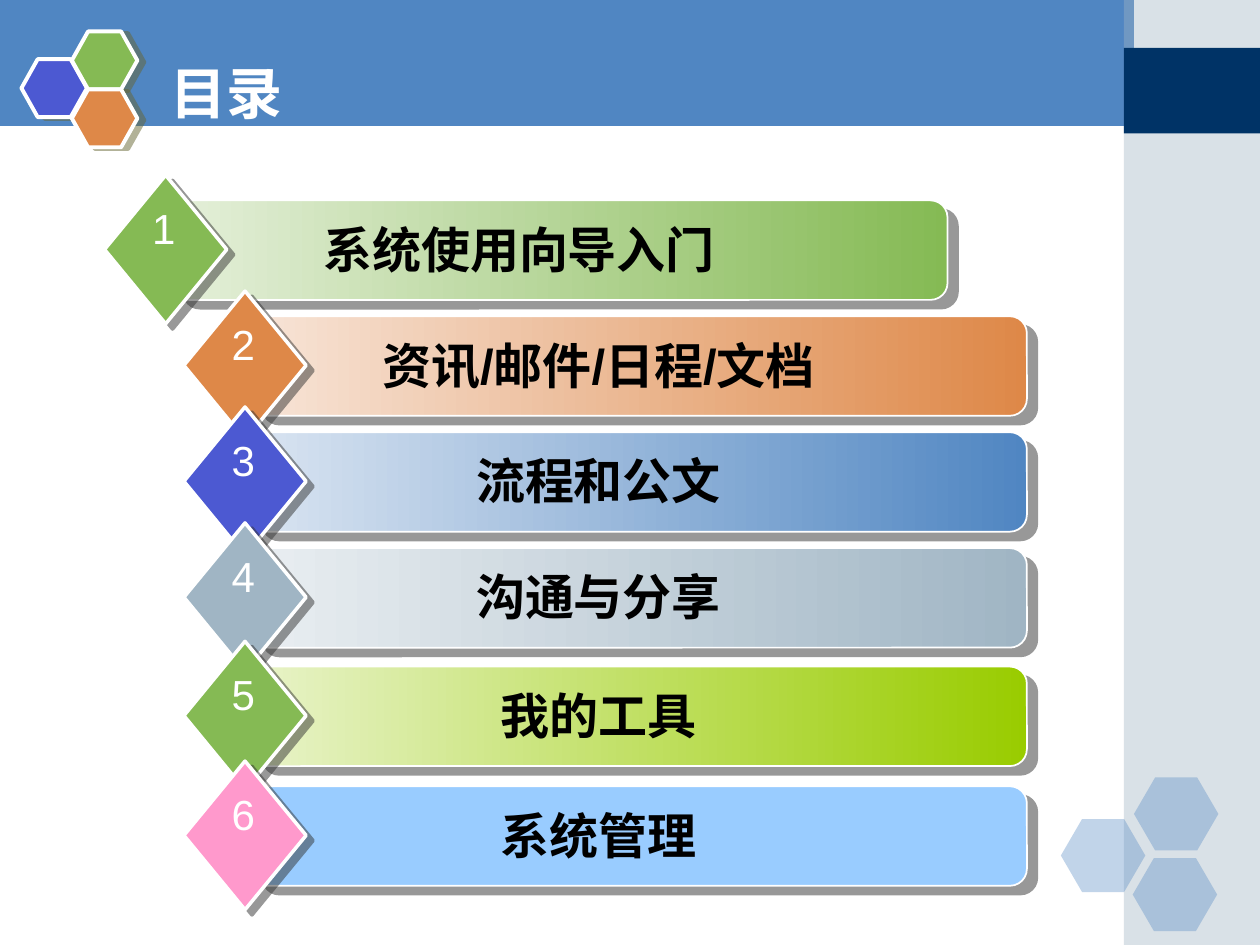
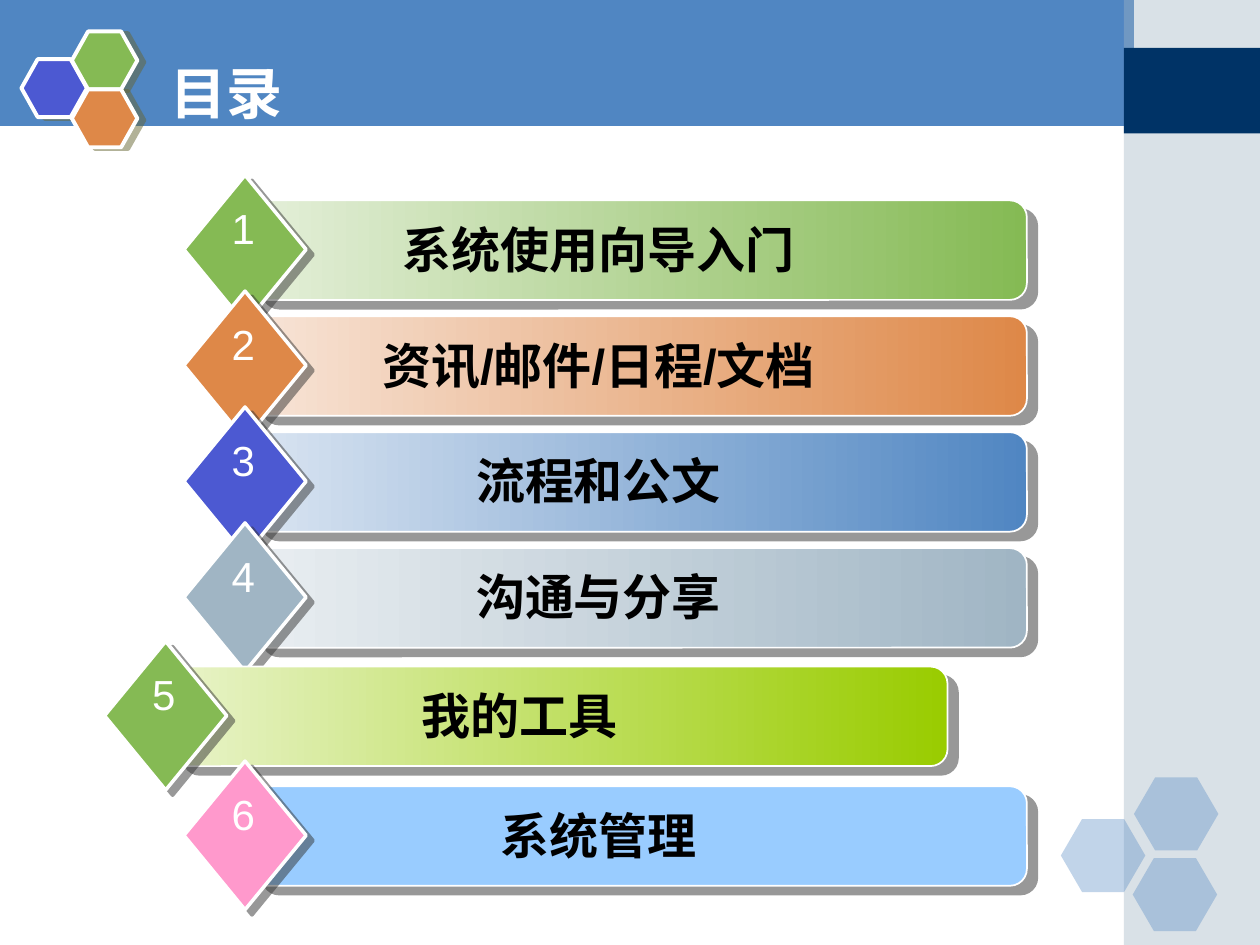
from lxml import etree
from pptx import Presentation
from pptx import util as u
from pptx.dml.color import RGBColor
from pptx.enum import shapes, text
from pptx.oxml.ns import qn

# Grid: 10 columns by 7.5 rows
prs = Presentation()
prs.slide_width, prs.slide_height = u.Inches(10), u.Inches(7.5)
COL, ROW = prs.slide_width / 10, prs.slide_height / 7.5

# Colours
WHITE = RGBColor(0xFF, 0xFF, 0xFF)
BLACK = RGBColor(0x00, 0x00, 0x00)
BLUE = RGBColor(0x50, 0x86, 0xC2)
NAVY = RGBColor(0x00, 0x33, 0x66)
VIOLET = RGBColor(0x4C, 0x59, 0xD2)
GREEN = RGBColor(0x85, 0xBA, 0x54)
ORANGE = RGBColor(0xDE, 0x88, 0x48)
GREY = RGBColor(0xA0, 0xB5, 0xC4)
LIME = RGBColor(0x99, 0xCC, 0x00)
SKY = RGBColor(0x99, 0xCC, 0xFF)
PINK = RGBColor(0xFF, 0x99, 0xCC)
PALE_GREEN = RGBColor(0xE4, 0xEF, 0xD9)
PALE_ORANGE = RGBColor(0xF7, 0xE4, 0xD7)
PALE_BLUE = RGBColor(0xD9, 0xE4, 0xF1)
PALE_GREY = RGBColor(0xE9, 0xEE, 0xF1)
PALE_LIME = RGBColor(0xE8, 0xF3, 0xC8)
OLIVE_SHADE = RGBColor(0x66, 0x66, 0x33)
DARK_SHADE = RGBColor(0x33, 0x33, 0x33)

# Shadows: colour, distance in points, angle in degrees
LOGO_SHADOW = (OLIVE_SHADE, 4.1, 14)
BAR_SHADOW = (DARK_SHADE, 7.8, 40)
DIAMOND_SHADOW = (DARK_SHADE, 5, 37)

# Agenda rows: top of the bar, label, diamond colour, bar colour, pale end of the bar
ENTRIES = [
    (1.59, "系统使用向导入门", GREEN, GREEN, PALE_GREEN),
    (2.51, "资讯/邮件/日程/文档", ORANGE, ORANGE, PALE_ORANGE),
    (3.43, "流程和公文", VIOLET, BLUE, PALE_BLUE),
    (4.35, "沟通与分享", GREY, GREY, PALE_GREY),
    (5.29, "我的工具", GREEN, LIME, PALE_LIME),
    (6.24, "系统管理", PINK, SKY, None),
]
BAR_LEFT, CURRENT_LEFT = 2, 1.37


def box(x, y, w, h):
    return [round(v) for v in (x * COL, y * ROW, w * COL, h * ROW)]


def set_alpha(color, percent):
    etree.SubElement(color, qn("a:alpha"), val=str(percent * 1000))


def add_shadow(sp, color, dist, angle):
    effects = sp._element.spPr.find(qn("a:effectLst"))
    shadow = etree.SubElement(effects, qn("a:outerShdw"), dist=str(u.Pt(dist)),
                              dir=str(angle * 60000), algn="ctr", rotWithShape="0")
    set_alpha(etree.SubElement(shadow, qn("a:srgbClr"), val=str(color)), 50)


def style(sp, fill, fade=None, alpha=None, line=None, shadow=None):
    sp.shadow.inherit = False
    if fade:
        sp.fill.gradient()
        sp.fill.gradient_angle = 180
        for stop, color in zip(sp.fill.gradient_stops, (fill, fade)):
            stop.color.rgb = color
    else:
        sp.fill.solid()
        sp.fill.fore_color.rgb = fill
    if alpha:
        set_alpha(sp._element.spPr.find(".//" + qn("a:srgbClr")), alpha)
    if line:
        sp.line.color.rgb = WHITE
        sp.line.width = u.Pt(line)
    else:
        sp.line.fill.background()
    if shadow:
        add_shadow(sp, *shadow)
    return sp


def add_preset(parent, kind, area, fill, adj=None, **look):
    sp = parent.add_shape(kind, *box(*area))
    if adj:
        sp.adjustments[0] = adj
    return style(sp, fill, **look)


def write(tf, words, size, color, font="Arial", bold=False,
          align=text.PP_ALIGN.CENTER, wrap=True):
    tf.word_wrap = wrap
    p = tf.paragraphs[0]
    p.alignment = align
    r = p.add_run()
    r.text = words
    r.font.size, r.font.bold, r.font.name = u.Pt(size), bold, font
    r.font.color.rgb = color


def add_label(parent, area, words, size, color, **look):
    tf = parent.add_textbox(*box(*area)).text_frame
    write(tf, words, size, color, **look)
    tf.auto_size = text.MSO_AUTO_SIZE.SHAPE_TO_FIT_TEXT


def draw_frame(parent):
    # Title band
    fb = parent.build_freeform(-0.01, 0.38, scale=(COL, ROW))
    fb.add_line_segments([(8.95, 0.38), (8.95, 1.06), (-0.01, 1.07)])
    parts = [style(fb.convert_to_shape(), BLUE)]
    # Side column
    rect, hexagon = shapes.MSO_SHAPE.RECTANGLE, shapes.MSO_SHAPE.HEXAGON
    parts.append(add_preset(parent, rect, (8.92, 0, 1.08, 7.5), GREY, alpha=40))
    parts.append(add_preset(parent, rect, (8.92, 0.38, 1.08, 0.68), NAVY))
    # Corner hexagons
    for x, y in ((8.42, 6.5), (9, 6.17), (8.99, 6.81)):
        parts.append(add_preset(parent, hexagon, (x, y, 0.67, 0.58), BLUE,
                                adj=0.29, alpha=35))
    # Hexagons beside the title
    for x, y, color in ((0.17, 0.47, VIOLET), (0.57, 0.25, GREEN), (0.57, 0.71, ORANGE)):
        parts.append(add_preset(parent, hexagon, (x, y, 0.52, 0.46), color,
                                adj=0.28, line=2.25, shadow=LOGO_SHADOW))
    return parts


def share_frame(slide, layout):
    """Draw the frame once and move it behind the layout's placeholders."""
    tree = layout.shapes._spTree
    for i, sp in enumerate(draw_frame(slide.shapes)):
        next(sp._element.iter(qn("p:cNvPr"))).set("id", str(20 + i))
        tree.insert(2 + i, sp._element)


def add_title(slide, words):
    title = slide.shapes.title
    title.left, title.top, title.width, title.height = box(1.25, 0.42, 7.33, 0.62)
    tf = title.text_frame
    tf.vertical_anchor = text.MSO_ANCHOR.MIDDLE
    tf.auto_size = text.MSO_AUTO_SIZE.NONE
    write(tf, words, 32, WHITE, font="DejaVu Sans", bold=True, align=text.PP_ALIGN.LEFT)


def add_entry(slide, number, left, top, label, mark, fill, fade):
    group = slide.shapes.add_group_shape().shapes
    add_preset(group, shapes.MSO_SHAPE.ROUNDED_RECTANGLE, (left, top, 6.15, 0.79),
               fill, adj=0.17, fade=fade, line=1, shadow=BAR_SHADOW)
    add_preset(group, shapes.MSO_SHAPE.DIAMOND, (left - 0.54, top - 0.2, 0.97, 1.18),
               mark, line=2, shadow=DIAMOND_SHADOW)
    add_label(group, (left + 0.32, top + 0.1, 4.86, 0.57), label, 28, BLACK, bold=True)
    add_label(group, (left - 0.26, top - 0.03, 0.38, 0.5), str(number), 24, WHITE,
              wrap=False)


def add_agenda(slide, current):
    add_title(slide, "目录")
    for number, (top, *entry) in enumerate(ENTRIES, 1):
        left = CURRENT_LEFT if number == current else BAR_LEFT
        add_entry(slide, number, left, top, *entry)


def main():
    layout = prs.slide_layouts[5]
    slides = [prs.slides.add_slide(layout) for _ in range(2)]
    share_frame(slides[0], layout)
    for slide, current in zip(slides, (1, 5)):
        add_agenda(slide, current)
    prs.save("out.pptx")


if __name__ == "__main__":
    main()
